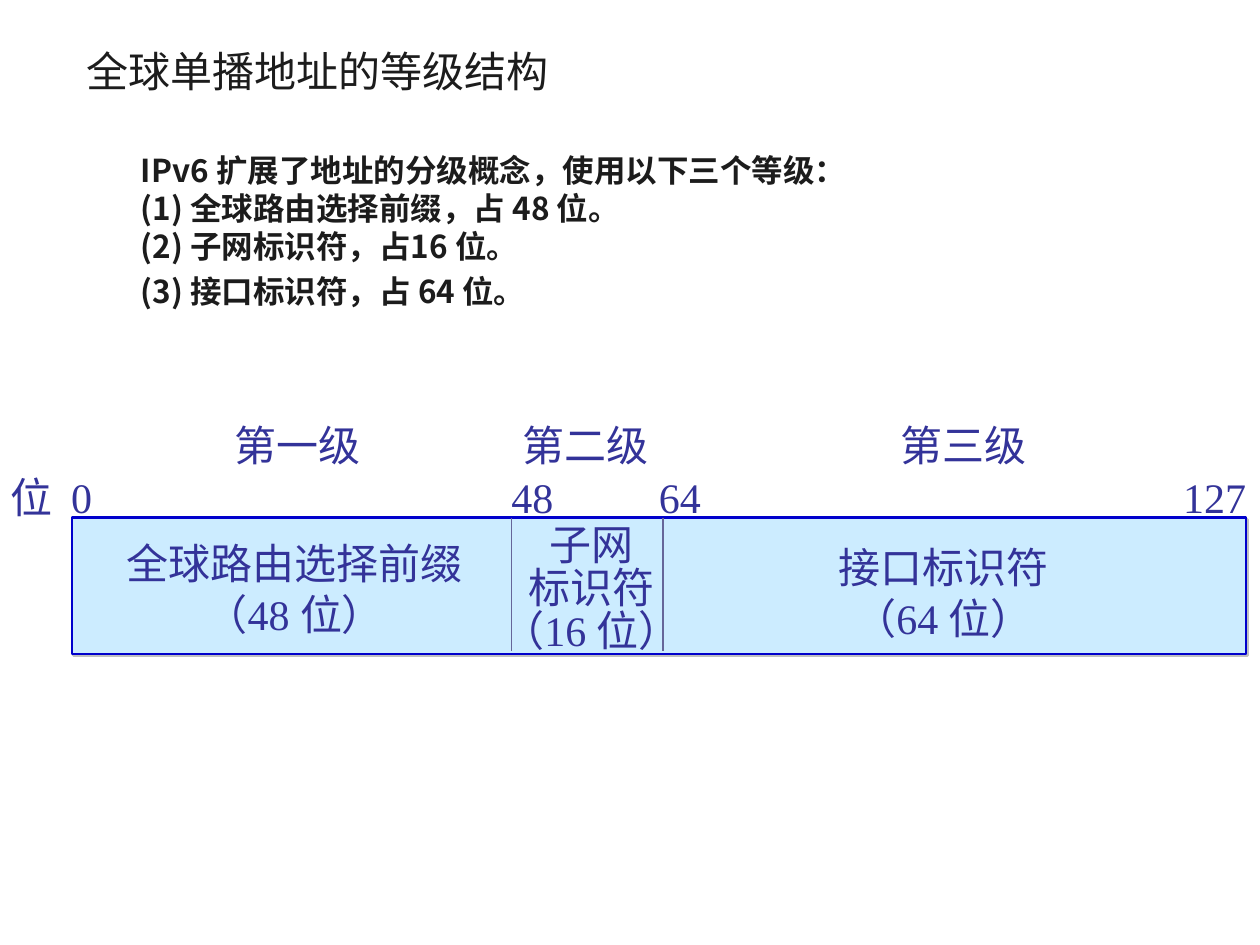
import pptx
import pptx.dml.color
import pptx.enum.shapes
import pptx.enum.text
import pptx.oxml.ns
import pptx.util
from lxml import etree

WIDE, HIGH = 10, 7.5
HAN, ROMAN = "Noto Sans CJK SC", "Times New Roman"
COLORS = {"ink": "1C1C1C", "label": "333399", "fill": "CCECFF",
          "edge": "0000CC", "rule": "666699", "shade": "C0C0C0",
          "page": "FFFFFF"}
ALIGN = pptx.enum.text.PP_ALIGN
ANCHOR = pptx.enum.text.MSO_ANCHOR
RECT = pptx.enum.shapes.MSO_SHAPE.RECTANGLE

TITLE = "全球单播地址的等级结构"
BODY = ["IPv6 扩展了地址的分级概念，使用以下三个等级：",
        "(1) 全球路由选择前缀，占 48 位。",
        "(2) 子网标识符，占16 位。",
        "(3) 接口标识符，占 64 位。"]
# Grids have 100 columns and 100 rows.
# level, its centre column, whether it has a plate
LEVELS = [("第一级", 23.6, True), ("第二级", 46.5, False),
          ("第三级", 76.5, True)]
# lines, cell (column, row, columns, rows), line spacing
FIELDS = [(["全球路由选择前缀", "（48 位）"], (9.1, 49.2, 28.6, 47.1), 1),
          (["子网", "标识符", "（16 位）"], (38.1, 44.5, 17.7, 58.6), 0.85),
          (["接口标识符", "（64 位）"], (65.6, 50.8, 18.6, 47.1), 1)]
RULES = [40.6, 52.6]
# bit, column, tab alignment
TICKS = [("0", 5.65, "l"), ("48", 40.6, "l"), ("64", 52.3, "l"),
         ("127", 98.9, "r")]


def tag(name):
    return pptx.oxml.ns.qn("a:" + name)


def rgb(name):
    return pptx.dml.color.RGBColor.from_string(COLORS[name])


def cell(box, x, y, w, h):
    """Return the box at the given columns and rows of another box."""
    left, top, wide, high = box
    return (left + x * wide / 100, top + y * high / 100,
            w * wide / 100, h * high / 100)


def emu(box):
    return [pptx.util.Inches(n) for n in box]


def style(para, size, face, color, bold=False):
    font = para.font
    font.size, font.bold = pptx.util.Pt(size), bold
    font.color.rgb = rgb(color)
    font.name = face
    props = para._p.pPr.find(tag("defRPr"))
    etree.SubElement(props, tag("ea"), typeface=HAN)


def add_rect(slide, box, color):
    rect = slide.shapes.add_shape(RECT, *emu(box))
    rect.fill.solid()
    rect.fill.fore_color.rgb = rgb(color)
    rect.line.fill.background()
    rect.shadow.inherit = False
    return rect


def write(shape, lines, size=24, face=ROMAN, color="label", bold=False,
          align=ALIGN.CENTER, anchor=ANCHOR.MIDDLE, wrap=False, inset=0):
    """Fill a shape with text and return its paragraphs."""
    frame = shape.text_frame
    frame.word_wrap, frame.vertical_anchor = wrap, anchor
    frame.margin_left = frame.margin_right = pptx.util.Inches(inset)
    frame.margin_top = frame.margin_bottom = pptx.util.Inches(inset / 2)
    frame.text = "\n".join(lines)
    for para in frame.paragraphs:
        para.alignment = align
        style(para, size, face, color, bold)
    return frame.paragraphs


def add_text(slide, box, lines, **look):
    return write(slide.shapes.add_textbox(*emu(box)), lines, **look)


def add_title(slide, box):
    add_text(slide, box, [TITLE], face=HAN, color="ink", align=ALIGN.LEFT,
             wrap=True, inset=0.1)


def add_body(slide, box):
    paras = add_text(slide, box, BODY, size=18, face=HAN, color="ink",
                     bold=True, align=ALIGN.LEFT, anchor=ANCHOR.TOP,
                     wrap=True, inset=0.1)
    for para in paras:
        props = para._p.get_or_add_pPr()
        props.set("marL", str(pptx.util.Inches(0.38)))
        props.set("indent", str(pptx.util.Inches(0.01)))
    for para in (paras[0], paras[-1]):
        para.space_before = pptx.util.Pt(4.5)


def add_levels(slide, box):
    for level, mid, plate in LEVELS:
        spot = cell(box, mid - 6, 0, 12, 100)
        if plate:
            write(add_rect(slide, spot, "page"), [level])
        else:
            add_text(slide, spot, [level])


def add_bar(slide, box):
    bar = add_rect(slide, box, "fill")
    bar.line.color.rgb = rgb("edge")
    bar.line.width = pptx.util.Pt(1.5)
    effects = bar._element.spPr.find(tag("effectLst"))
    shade = etree.SubElement(
        effects, tag("outerShdw"), blurRad="0",
        dist=str(pptx.util.Pt(1.4)), dir="2700000", algn="ctr")
    etree.SubElement(shade, tag("srgbClr"), val=COLORS["shade"])


def add_rule(slide, box):
    """Draw a line down the left side of the box."""
    x, y, _, h = box
    rule = slide.shapes.add_connector(
        pptx.enum.shapes.MSO_CONNECTOR.STRAIGHT, *emu((x, y, x, y + h)))
    rule.line.color.rgb = rgb("rule")
    rule.line.width = pptx.util.Pt(1)
    etree.SubElement(rule._element.spPr, tag("effectLst"))


def add_scale(slide, box):
    """Write the unit and the bit numbers on one line with tab stops."""
    inset = 0.08
    line = "\t".join(["位"] + [bit for bit, _, _ in TICKS])
    para = add_text(slide, box, [line], align=ALIGN.LEFT, wrap=True,
                    inset=inset)[0]
    stops = etree.Element(tag("tabLst"))
    for _, col, side in TICKS:
        place = pptx.util.Inches(cell(box, col, 0, 0, 0)[0] - box[0] - inset)
        etree.SubElement(stops, tag("tab"), pos=str(place), algn=side)
    para._p.pPr.find(tag("defRPr")).addprevious(stops)


def add_diagram(slide, box):
    """Draw levels, bit scale and address fields from top to bottom."""
    add_levels(slide, cell(box, 0, 0, 100, 26.2))
    add_bar(slide, cell(box, 5.7, 43.45, 93.2, 56.55))
    for lines, spot, gap in FIELDS:
        for para in add_text(slide, cell(box, *spot), lines):
            para.line_spacing = gap
    for col in RULES:
        add_rule(slide, cell(box, col, 43.45, 0, 55.5))
    add_scale(slide, cell(box, 0, 21.5, 100, 26.2))


def main():
    deck = pptx.Presentation()
    deck.slide_width = pptx.util.Inches(WIDE)
    deck.slide_height = pptx.util.Inches(HIGH)
    slide = deck.slides.add_slide(deck.slide_layouts[6])
    page = (0, 0, WIDE, HIGH)
    add_title(slide, cell(page, 5.9, 2.8, 77.6, 9.47))
    add_body(slide, cell(page, 6.3, 15.33, 93.7, 31.47))
    add_diagram(slide, cell(page, 0, 43.73, 100, 25.47))
    deck.save("out.pptx")


if __name__ == "__main__":
    main()
